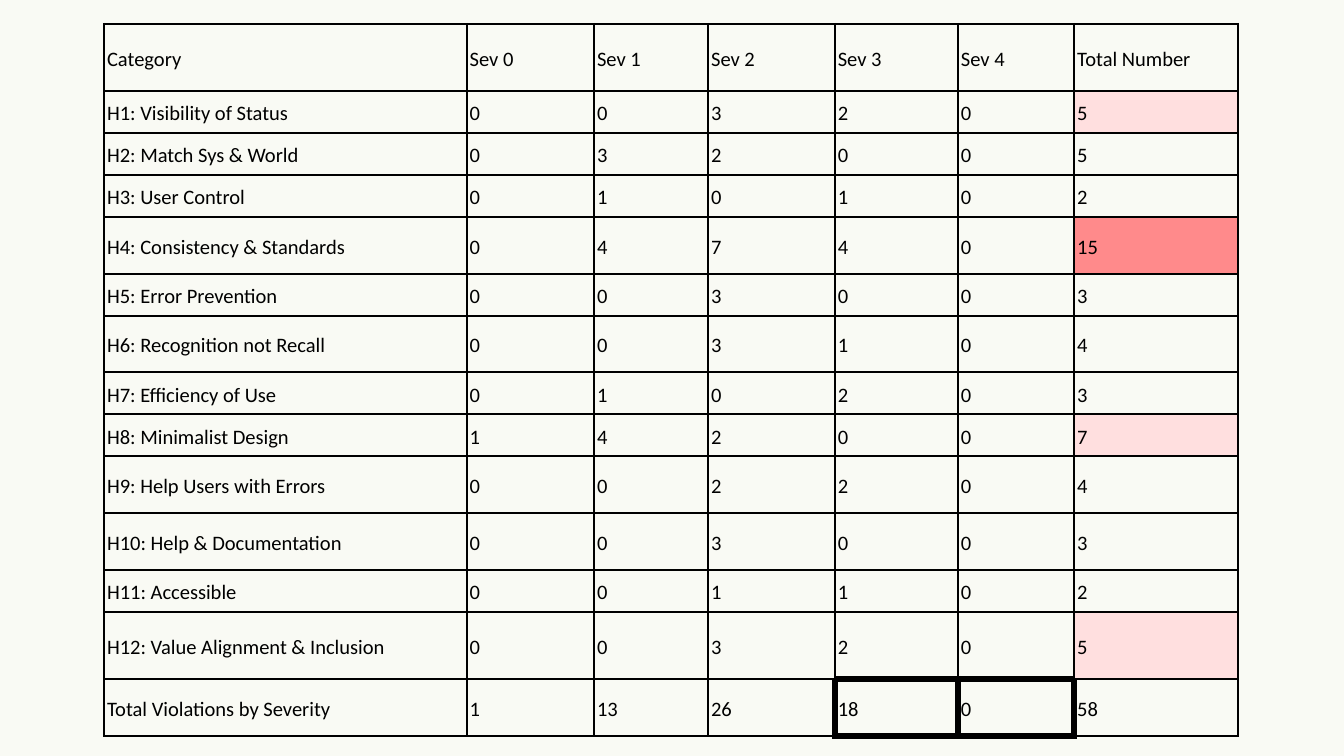
import pptx
import pptx.dml.color
import pptx.enum.text
import pptx.oxml
import pptx.oxml.ns
import pptx.util

PX = 9525
FONT = "Calibri"
HEX = {"page": "F9FAF4", "ink": "000000", "pale": "FFDFDF", "red": "FF8A8B"}
THIN, THICK = 2.25, 7.5
SIDES = {"L": (0, -1), "R": (0, 1), "T": (-1, 0), "B": (1, 0)}

COLS = [518, 182, 163, 181, 176, 166, 234]
SHORT, MID, TALL = 60, 81, 96
ROWS = [
    (TALL, "Category", "Sev 0", "Sev 1", "Sev 2", "Sev 3", "Sev 4", "Total Number"),
    (SHORT, "H1: Visibility of Status", 0, 0, 3, 2, 0, 5),
    (SHORT, "H2: Match Sys & World", 0, 3, 2, 0, 0, 5),
    (SHORT, "H3: User Control", 0, 1, 0, 1, 0, 2),
    (MID, "H4: Consistency & Standards", 0, 4, 7, 4, 0, 15),
    (SHORT, "H5: Error Prevention", 0, 0, 3, 0, 0, 3),
    (MID, "H6: Recognition not Recall", 0, 0, 3, 1, 0, 4),
    (SHORT, "H7: Efficiency of Use", 0, 1, 0, 2, 0, 3),
    (SHORT, "H8: Minimalist Design", 1, 4, 2, 0, 0, 7),
    (MID, "H9: Help Users with Errors", 0, 0, 2, 2, 0, 4),
    (MID, "H10: Help & Documentation", 0, 0, 3, 0, 0, 3),
    (SHORT, "H11: Accessible", 0, 0, 1, 1, 0, 2),
    (TALL, "H12: Value Alignment & Inclusion", 0, 0, 3, 2, 0, 5),
    (MID, "Total Violations by Severity", 1, 13, 26, 18, 0, 58),
]
FILLS = {(1, 6): "pale", (4, 6): "red", (8, 6): "pale", (12, 6): "pale"}
BOXED = {(13, 4), (13, 5)}


def rgb(name):
    """Return the named colour."""
    return pptx.dml.color.RGBColor.from_string(HEX[name])


def edge(cell, row, col):
    """Rule the four sides of a cell, thick where they touch a boxed cell."""
    props = cell._tc.get_or_add_tcPr()
    for side, (down, right) in SIDES.items():
        near = {(row, col), (row + down, col + right)}
        width = pptx.util.Pt(THICK if near & BOXED else THIN)
        props.append(pptx.oxml.parse_xml(
            f'<a:ln{side} {pptx.oxml.ns.nsdecls("a")} w="{width}">'
            f'<a:solidFill><a:srgbClr val="{HEX["ink"]}"/></a:solidFill>'
            f'<a:prstDash val="solid"/></a:ln{side}>'))


def paint(cell, name):
    """Fill a cell with the named colour, or leave it clear."""
    if name:
        cell.fill.solid()
        cell.fill.fore_color.rgb = rgb(name)
    else:
        cell.fill.background()


def write(cell, text):
    """Set the text of a cell."""
    cell.text = str(text)
    cell.vertical_anchor = pptx.enum.text.MSO_ANCHOR.MIDDLE
    cell.margin_left = cell.margin_right = 4 * PX
    cell.margin_top = cell.margin_bottom = 4 * PX
    para = cell.text_frame.paragraphs[0]
    para.line_spacing = pptx.util.Pt(30.8)
    para.font.size = pptx.util.Pt(22)
    para.font.name = FONT
    para.font.color.rgb = rgb("ink")


def grid(slide, left, top):
    """Place the table of violations with its corner at left, top."""
    wide, high = sum(COLS), sum(row[0] for row in ROWS)
    table = slide.shapes.add_table(
        len(ROWS), len(COLS), left * PX, top * PX, wide * PX, high * PX).table
    table.first_row = table.horz_banding = False
    for col, width in enumerate(COLS):
        table.columns[col].width = width * PX
    for row, (height, *texts) in enumerate(ROWS):
        table.rows[row].height = height * PX
        for col, text in enumerate(texts):
            cell = table.cell(row, col)
            write(cell, text)
            edge(cell, row, col)
            paint(cell, FILLS.get((row, col)))


def main():
    """Build the slide and save it."""
    deck = pptx.Presentation()
    deck.slide_width, deck.slide_height = 1920 * PX, 1080 * PX
    slide = deck.slides.add_slide(deck.slide_layouts[6])
    slide.background.fill.solid()
    slide.background.fill.fore_color.rgb = rgb("page")
    grid(slide, 149, 34)
    deck.save("out.pptx")


if __name__ == "__main__":
    main()
